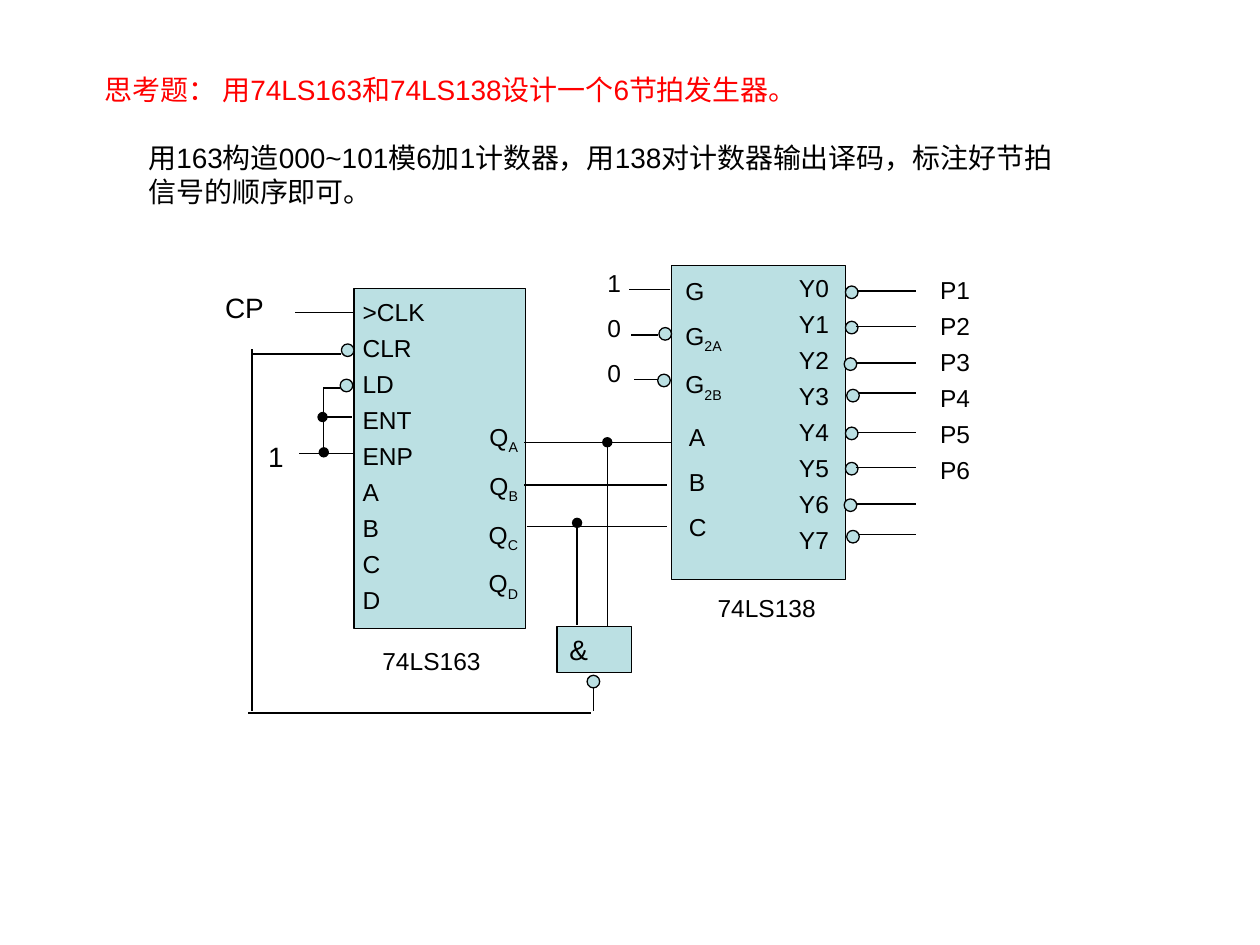
from lxml.etree import SubElement
from pptx import Presentation
from pptx.dml.color import RGBColor
from pptx.enum.shapes import MSO_CONNECTOR, MSO_SHAPE
from pptx.enum.text import MSO_ANCHOR, PP_ALIGN
from pptx.oxml.ns import qn
from pptx.util import Inches, Pt

COLORS = {"ink": "000000", "question": "FF0000", "chip": "BBE0E3"}
BUBBLE = 0.1
LEFT, CENTER, RIGHT = PP_ALIGN.LEFT, PP_ALIGN.CENTER, PP_ALIGN.RIGHT


def rgb(name):
    return RGBColor.from_string(COLORS[name])


def write_lines(frame, lines, size=14, align=LEFT, spacing=None, color="ink"):
    """Write one paragraph per line; the part after "_" is a subscript."""
    frame.word_wrap = True
    for index, line in enumerate(lines):
        paragraph = frame.add_paragraph() if index else frame.paragraphs[0]
        paragraph.alignment = align
        if index:
            paragraph.space_before = Pt(8.8)
        if spacing:
            paragraph.line_spacing = spacing
        base, _, subscript = line.partition("_")
        for text in filter(None, (base, subscript)):
            run = paragraph.add_run()
            run.text = text
            run.font.size = Pt(size)
            run.font.name = "Arial"
            run.font.color.rgb = rgb(color)
        if subscript:
            run._r.get_or_add_rPr().set("baseline", "-25000")


class Region:
    """Draws parts at offsets in inches from the corner of a box."""

    def __init__(self, slide, left, top):
        self.shapes, self.left, self.top = slide.shapes, left, top

    def place(self, x, y):
        return Inches(self.left + x), Inches(self.top + y)

    def label(self, x, y, width, height, *lines, **style):
        box = self.shapes.add_textbox(*self.place(x, y), Inches(width), Inches(height))
        write_lines(box.text_frame, lines, **style)

    def block(self, x, y, width, height, kind=MSO_SHAPE.RECTANGLE):
        block = self.shapes.add_shape(kind, *self.place(x, y), Inches(width), Inches(height))
        block.shadow.inherit = False
        block.fill.solid()
        block.fill.fore_color.rgb = rgb("chip")
        block.line.color.rgb = rgb("ink")
        block.line.width = Pt(0.75)
        return block

    def bubble(self, x, y):
        self.block(x, y, BUBBLE, BUBBLE, MSO_SHAPE.OVAL)

    def wire(self, x1, y1, x2, y2, dot=None):
        """Draw a wire; dot is "headEnd" or "tailEnd" for a junction there."""
        wire = self.shapes.add_connector(
            MSO_CONNECTOR.STRAIGHT, *self.place(x1, y1), *self.place(x2, y2))
        wire.line.color.rgb = rgb("ink")
        wire.line.width = Pt(0.75)
        if dot:
            SubElement(wire.line._get_or_add_ln(), qn(f"a:{dot}"), type="oval")
        SubElement(wire._element.spPr, qn("a:effectLst"))


def draw_question(slide, left, top):
    region = Region(slide, left, top)
    region.label(0, 0, 5.55, 0.64, "思考题： 用74LS163和74LS138设计一个6节拍发生器。",
                 size=16, color="question")
    region.label(0.35, 0.54, 7.58, 0.64,
                 "用163构造000~101模6加1计数器，用138对计数器输出译码，标注好节拍信号的顺序即可。",
                 size=16)


def draw_counter(slide, left, top, width, height):
    counter = Region(slide, left, top)
    counter.block(0, 0, width, height)
    counter.label(-0.03, 0.08, 0.7, 2.55, ">CLK", "CLR", "LD", "ENT", "ENP", *"ABCD",
                  spacing=0.7)
    counter.label(-0.03, height + 0.09, 1.29, 0.34, "74LS163", align=CENTER)
    counter.bubble(-0.1, 0.44)
    counter.bubble(-0.11, 0.72)

    counter.wire(0, 0.19, -0.47, 0.19)
    counter.wire(0, 1.31, -0.44, 1.31)
    counter.wire(-0.02, 1.02, -0.25, 1.02, "tailEnd")
    counter.wire(-0.11, 0.79, -0.25, 0.79)
    counter.wire(-0.24, 0.79, -0.24, 1.3, "tailEnd")
    counter.label(-0.78, 1.15, 0.3, 0.37, "1", size=16, align=CENTER)
    counter.label(-1.17, -0.03, 0.6, 0.37, "CP", size=16, align=CENTER)

    for start, end, y in ((1.35, 2.52, 1.22), (1.35, 2.48, 1.56), (1.37, 2.48, 1.89)):
        counter.wire(start, y, end, y)
    counter.label(0.93, 1.01, 0.47, 1.53, *(f"Q_{bit}" for bit in "ABCD"), align=RIGHT)


def draw_decoder(slide, left, top, width, height):
    decoder = Region(slide, left, top)
    decoder.block(0, 0, width, height)
    decoder.label(0.04, 1.19, 0.37, 1.05, *"ABC")
    decoder.label(0.01, 0.03, 0.61, 1.11, "G", "G_2A", "G_2B")
    decoder.bubble(-0.11, 0.86)
    decoder.bubble(-0.1, 0.49)
    for start, end, y in ((-0.01, -0.34, 0.19), (-0.11, -0.32, 0.55), (-0.11, -0.3, 0.9)):
        decoder.wire(start, y, end, y)
    decoder.label(-0.67, -0.03, 0.43, 1.05, *"100", align=CENTER)

    decoder.label(0.89, 0.07, 0.48, 2.26, *(f"Y{n}" for n in range(8)),
                  align=CENTER, spacing=0.7)
    # bubble x, bubble y, wire start, wire y; the lower four repeat the upper four
    outputs = ((0, 0.16, 0.1, 0.2), (0, 0.44, 0.08, 0.48),
               (-0.01, 0.73, 0.08, 0.77), (0.01, 0.98, 0.11, 1.01))
    for shift in (0, 1.12):
        for bubble_x, bubble_y, start, wire_y in outputs:
            decoder.bubble(width + bubble_x, bubble_y + shift)
            decoder.wire(width + start, wire_y + shift, width + 0.56, wire_y + shift)
    decoder.label(width + 0.58, 0.09, 0.58, 1.69, *(f"P{n}" for n in range(1, 7)),
                  align=CENTER, spacing=0.7)
    decoder.label(0.11, height + 0.06, 1.29, 0.34, "74LS138", align=CENTER)


def draw_reset_gate(slide, left, top, width, height):
    """Draw the NAND gate, its two taps and the wire back to CLR."""
    gate = Region(slide, left, top)
    frame = gate.block(0, 0, width, height).text_frame
    frame.vertical_anchor = MSO_ANCHOR.MIDDLE
    write_lines(frame, ["&"], size=16)
    gate.bubble(0.24, height + 0.02)
    gate.wire(0.16, -0.82, 0.16, -0.01, "headEnd")
    gate.wire(0.4, -1.46, 0.4, 0, "headEnd")
    gate.wire(0.29, 0.48, 0.29, 0.67)
    gate.wire(0.27, 0.69, -2.45, 0.69)
    gate.wire(-2.42, 0.67, -2.42, -2.2)
    gate.wire(-2.42, -2.16, -1.71, -2.16)


def main():
    presentation = Presentation()
    presentation.slide_width = Inches(10)
    presentation.slide_height = Inches(7.5)
    slide = presentation.slides.add_slide(presentation.slide_layouts[6])
    draw_question(slide, 0.73, 0.53)
    draw_counter(slide, 2.81, 2.29, 1.36, 2.7)
    draw_decoder(slide, 5.33, 2.11, 1.38, 2.49)
    draw_reset_gate(slide, 4.42, 4.97, 0.59, 0.37)
    presentation.save("out.pptx")


if __name__ == "__main__":
    main()
